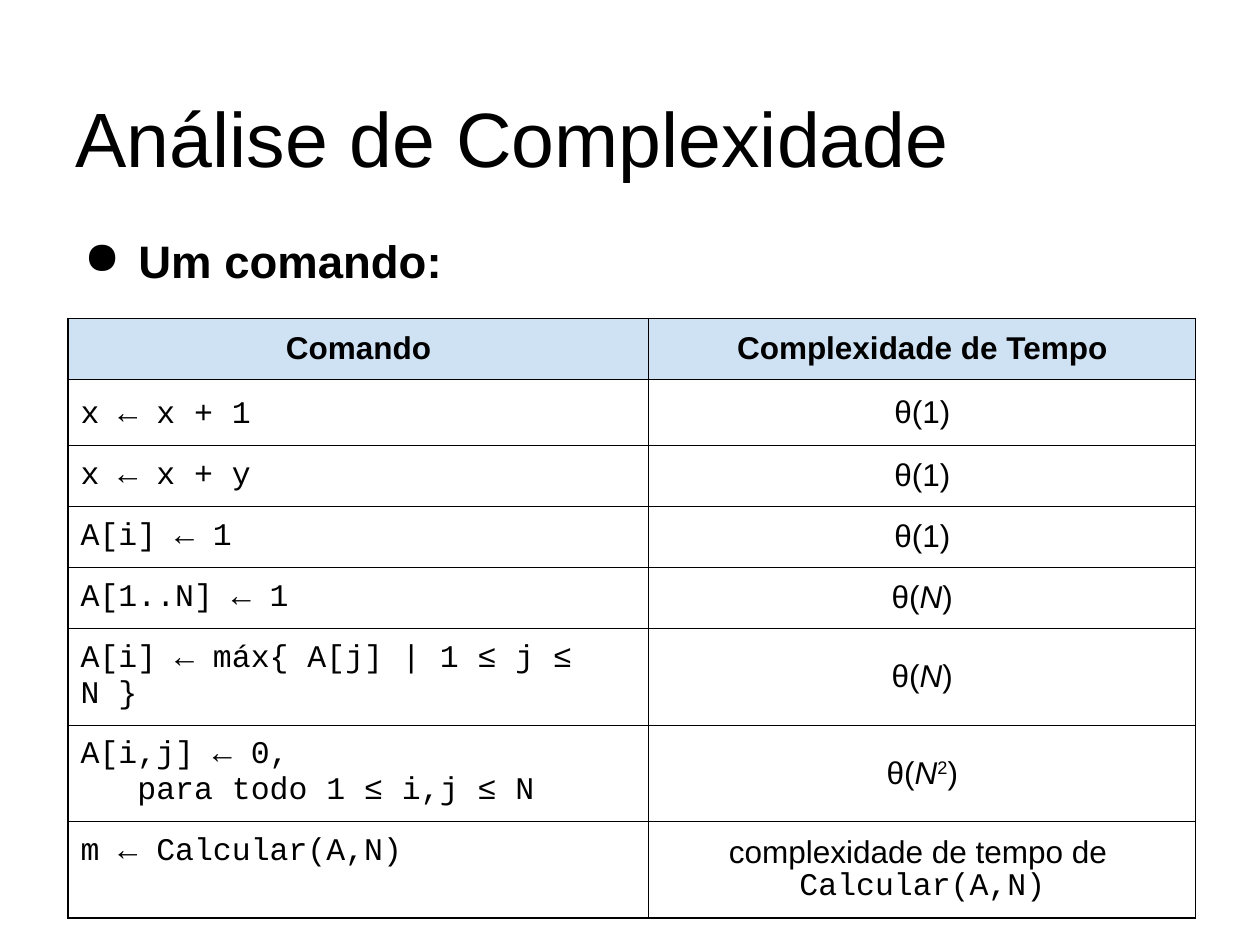
from lxml import etree
from pptx import Presentation
from pptx import util as u
from pptx.dml.color import RGBColor
from pptx.enum import text
from pptx.oxml import ns

BLACK = RGBColor(0x00, 0x00, 0x00)
HEADER_BLUE = RGBColor(0xCF, 0xE2, 0xF3)
SANS, MONO = "Arial", "Courier New"
HEADERS = ["Comando", "Complexidade de Tempo"]
CONSTANT = [("θ(1)", "")]
LINEAR = [("θ(", ""), ("N", "italic"), (")", "")]
QUADRATIC = [("θ(", ""), ("N", "italic"), ("2", "super"), (")", "")]
CALL = [("complexidade de tempo de \n", ""), ("Calcular(A,N)", "code")]
COMMANDS = [
    ("x ← x + 1", CONSTANT),
    ("x ← x + y", CONSTANT),
    ("A[i] ← 1", CONSTANT),
    ("A[1..N] ← 1", LINEAR),
    ("A[i] ← máx{ A[j] | 1 ≤ j ≤ N }", LINEAR),
    ("A[i,j] ← 0, \n   para todo 1 ≤ i,j ≤ N", QUADRATIC),
    ("m ← Calcular(A,N)", CALL),
]


class SlideBuilder:
    """Holds the text style and the current slide, and adds each kind of element."""

    def __init__(self, prs):
        self.s = prs.slides.add_slide(prs.slide_layouts[5])
        self.margin = u.Inches(0.1)

    def add_run(self, p, content, size, style=""):
        for i, line in enumerate(content.split("\n")):
            if i:
                p.add_line_break()
            if not line:
                continue
            r = p.add_run()
            r.text = line
            r.font.name = MONO if style == "code" else SANS
            r.font.size = u.Pt(size)
            r.font.bold = style == "bold"
            r.font.italic = style == "italic"
            r.font.color.rgb = BLACK
            if style == "super":
                r._r.get_or_add_rPr().set("baseline", "30000")

    def set_frame(self, tf):
        tf.word_wrap = True
        tf.auto_size = text.MSO_AUTO_SIZE.NONE
        tf.margin_left = tf.margin_right = self.margin
        tf.margin_top = tf.margin_bottom = self.margin

    def title(self, content, left, top, width, height):
        sp = self.s.shapes.title
        sp.left, sp.top = u.Inches(left), u.Inches(top)
        sp.width, sp.height = u.Inches(width), u.Inches(height)
        tf = sp.text_frame
        self.set_frame(tf)
        tf.vertical_anchor = text.MSO_ANCHOR.BOTTOM
        p = tf.paragraphs[0]
        p.alignment = text.PP_ALIGN.LEFT
        self.add_run(p, content, 44)

    def bullet(self, content, left, top, width, height):
        sp = self.s.shapes.add_textbox(*map(u.Inches, (left, top, width, height)))
        tf = sp.text_frame
        self.set_frame(tf)
        p = tf.paragraphs[0]
        pPr = p._p.get_or_add_pPr()
        pPr.set("marL", str(u.Inches(0.5)))
        pPr.set("indent", str(u.Inches(-0.43)))
        color = etree.SubElement(pPr, ns.qn("a:buClr"))
        etree.SubElement(color, ns.qn("a:srgbClr"), val=str(BLACK))
        etree.SubElement(pPr, ns.qn("a:buChar"), char="●")
        self.add_run(p, content, 26, "bold")

    def border(self, cell):
        tcPr = cell._tc.get_or_add_tcPr()
        for i, side in enumerate(("lnL", "lnR", "lnT", "lnB")):
            ln = etree.Element(ns.qn(f"a:{side}"), w=str(u.Pt(0.75)))
            fill = etree.SubElement(ln, ns.qn("a:solidFill"))
            etree.SubElement(fill, ns.qn("a:srgbClr"), val=str(BLACK))
            tcPr.insert(i, ln)

    def cell(self, cell, runs, centered=True, fill=None):
        cell.margin_left = cell.margin_right = self.margin
        cell.margin_top = cell.margin_bottom = self.margin
        p = cell.text_frame.paragraphs[0]
        if centered:
            cell.vertical_anchor = text.MSO_ANCHOR.MIDDLE
            p.alignment = text.PP_ALIGN.CENTER
        for content, style in runs:
            self.add_run(p, content, 18, style)
        if fill is None:
            cell.fill.background()
        else:
            cell.fill.solid()
            cell.fill.fore_color.rgb = fill
        self.border(cell)
        return p

    def table(self, headers, rows, left, top, widths, row_height):
        count = len(rows) + 1
        size = (left, top, sum(widths), row_height * count)
        tbl = self.s.shapes.add_table(count, len(widths), *map(u.Inches, size)).table
        for column, width in zip(tbl.columns, widths):
            column.width = u.Inches(width)
        for j, header in enumerate(headers):
            self.cell(tbl.cell(0, j), [(header, "bold")], fill=HEADER_BLUE)
        for i, (command, complexity) in enumerate(rows, 1):
            p = self.cell(tbl.cell(i, 0), [(command, "code")], centered=False)
            if i == 1:
                p.line_spacing = 1.15
            self.cell(tbl.cell(i, 1), complexity)


def main():
    prs = Presentation()
    prs.slide_width, prs.slide_height = u.Inches(10), u.Inches(7.5)
    slide = SlideBuilder(prs)
    slide.title("Análise de Complexidade", 0.5, 0.3, 9, 1.25)
    slide.bullet("Um comando:", 0.5, 1.75, 9, 5.43)
    slide.table(HEADERS, COMMANDS, 0.54, 2.53, [4.61, 4.34], 0.42)
    prs.save("out.pptx")


if __name__ == "__main__":
    main()
